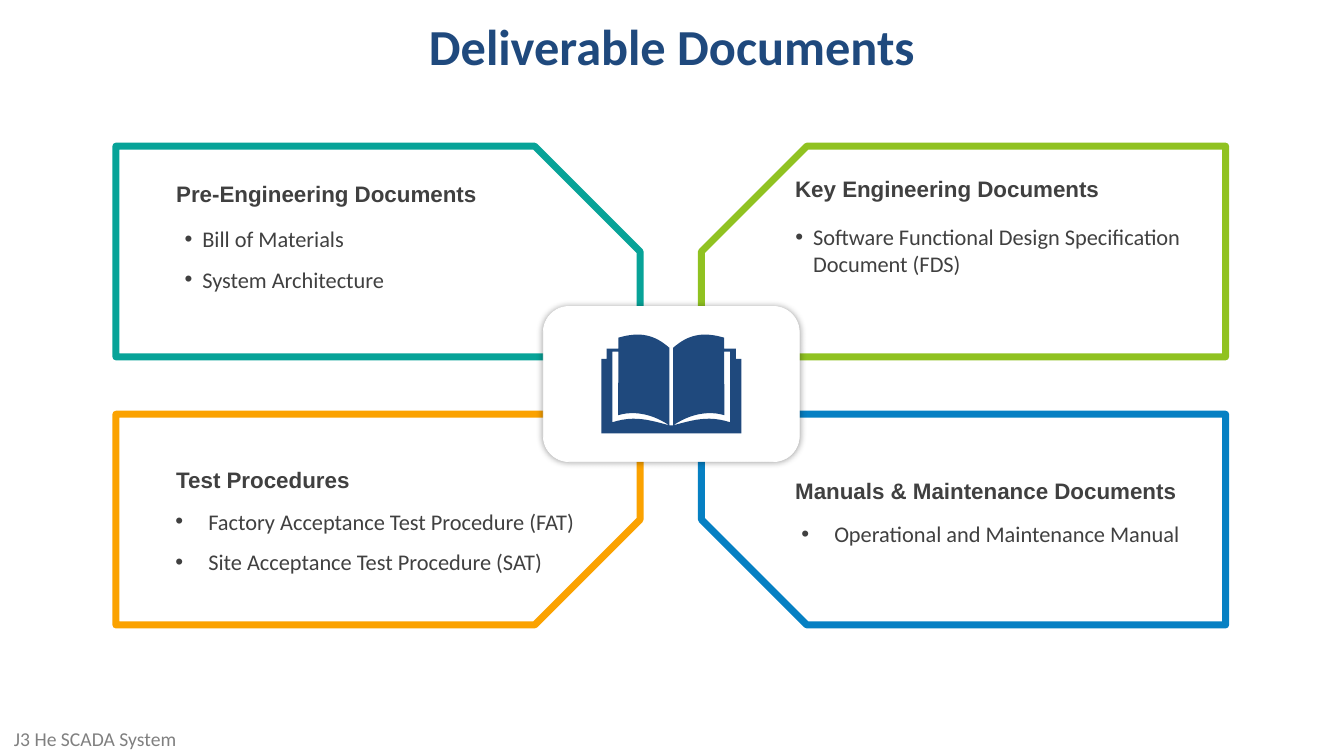
from lxml import etree
from pptx import Presentation
from pptx.dml.color import RGBColor
from pptx.enum.shapes import MSO_SHAPE
from pptx.enum.text import MSO_ANCHOR, MSO_AUTO_SIZE, PP_ALIGN
from pptx.oxml.ns import qn
from pptx.util import Pt

SNIP, ROUND = MSO_SHAPE.SNIP_1_RECTANGLE, MSO_SHAPE.ROUNDED_RECTANGLE
MIDDLE, CENTER, NO_FIT = MSO_ANCHOR.MIDDLE, PP_ALIGN.CENTER, MSO_AUTO_SIZE.NONE
WHITE, NAVY, DARK, GREY = "FFFFFF", "1F497D", "404040", "808080"


def rgb(value):
    return RGBColor.from_string(value)


def add_text(sp, box, text, font, size, color, bold=False, new=False):
    """Place a text shape and write one paragraph in it."""
    sp.left, sp.top, sp.width, sp.height = [Pt(v) for v in box]
    tf = sp.text_frame
    tf.word_wrap = True
    tf.auto_size = NO_FIT
    tf.vertical_anchor = MIDDLE
    p = tf.add_paragraph() if new else tf.paragraphs[0]
    p.space_before = Pt(0)
    r = p.add_run()
    r.text = text
    r.font.name, r.font.size, r.font.bold = font, Pt(size), bold
    r.font.color.rgb = rgb(color)
    return p


prs = Presentation()
prs.slide_width, prs.slide_height = Pt(960), Pt(540)
s = prs.slides.add_slide(prs.slide_layouts[4])  # title and four bodies

# Title
sp = s.shapes.title
sp.fill.solid()
sp.fill.fore_color.rgb = rgb(WHITE)
p = add_text(sp, (0, 0, 960, 65), "Deliverable Documents", "Calibri", 36, NAVY, True)
p.alignment = CENTER

# Four panels, each with its snipped corner towards the centre
for i, color in enumerate(("07A398", "90C221", "FBA200", "0680C3")):
    row, col = divmod(i, 2)
    sp = s.shapes.add_shape(SNIP, Pt(82.8 + 418.3 * col), Pt(104.4 + 191.5 * row),
                            Pt(374.4), Pt(150.5))
    sp.adjustments[0] = 0.5
    xfrm = sp._element.spPr.find(qn("a:xfrm"))
    xfrm.set("flipH", str(col))
    xfrm.set("flipV", str(row))
    sp.shadow.inherit = False
    sp.fill.solid()
    sp.fill.fore_color.rgb = rgb(WHITE)
    sp.line.color.rgb = rgb(color)
    sp.line.width = Pt(5)

# Central hub with a soft shadow
hub = s.shapes.add_shape(ROUND, Pt(388.1), Pt(218.9), Pt(182.9), Pt(110.9))
hub.fill.solid()
hub.fill.fore_color.rgb = rgb(WHITE)
hub.line.color.rgb = rgb(WHITE)
hub.line.width = Pt(0.5)
hub.shadow.inherit = False
effects = hub._element.spPr.find(qn("a:effectLst"))
shadow = etree.SubElement(effects, qn("a:outerShdw"), blurRad=str(Pt(5)), dist="0",
                          algn="ctr", rotWithShape="0")
black = etree.SubElement(shadow, qn("a:srgbClr"), val="000000")
etree.SubElement(black, qn("a:alpha"), val="40000")

# Open book: half outlines as offsets from the spine top, four-point items are curves
SPINE, BOOK_TOP = 479.5, 239
cover = [[(1.4, 64.8)], [(1.4, 9.4)],
         [(1.4, 9.4), (8, 3.6), (15, 0), (24, 0)],
         [(24, 0), (28, 0), (32.5, 0.7), (37.7, 2.2)],
         [(37.7, 10)], [(46.2, 10)], [(46.2, 17.3)], [(50, 17.3)], [(50, 70.6)]]
gap = [[(1.4, 64.8), (16, 61), (26, 57.6), (42, 62.6)],
       [(42, 12.2)], [(37.7, 12.2)],
       [(38, 57.6), (26, 54), (13, 57), (1.4, 64.8)]]
halves = []
for pieces in (cover, gap):
    points = []
    for piece in pieces:
        if len(piece) == 1:
            points += piece
            continue
        for step in range(13):
            t = step / 12
            weights = ((1 - t) ** 3, 3 * t * (1 - t) ** 2, 3 * t * t * (1 - t), t ** 3)
            points.append(tuple(sum(w * pt[axis] for w, pt in zip(weights, piece))
                                for axis in (0, 1)))
    halves.append(points)
cover, gap = halves
left_gap = [(-x, y) for x, y in gap]
outline = [(-x, y) for x, y in cover] + cover[::-1]
builder = None
for contour in (outline, left_gap, gap):
    points = [(Pt(SPINE + x), Pt(BOOK_TOP + y)) for x, y in contour]
    if builder is None:
        builder = s.shapes.build_freeform(*points[0], scale=1.0)
    else:
        builder.move_to(*points[0])
    builder.add_line_segments(points[1:], close=True)
book = builder.convert_to_shape()
book.shadow.inherit = False
book.fill.solid()
book.fill.fore_color.rgb = rgb(NAVY)
book.line.fill.background()

# Headings and bulleted lists: heading, its box, items, their box, indent, line spacing
sections = [
    ("Pre-Engineering Documents", (118.8, 125.3, 260, 26.6),
     ["Bill of Materials", "System Architecture"], (124.6, 149, 311.8, 62.6), 12.7, 1.5),
    ("Key Engineering Documents", (560.9, 121.7, 260, 26.6),
     ["Software Functional Design Specification Document (FDS)"],
     (560.9, 155.5, 311.8, 46.1), 12.7, 1),
    ("Test Procedures", (118.8, 329, 260, 26.6),
     ["Factory Acceptance Test Procedure (FAT)", "Site Acceptance Test Procedure (SAT)"],
     (118.1, 350.6, 311.8, 62.6), 23.5, 1.5),
    ("Manuals & Maintenance Documents", (560.9, 337, 298, 26.6),
     ["Operational and Maintenance Manual"], (565.2, 367.9, 311.8, 26.6), 23.5, 1),
]
for idx, (heading, head_box, items, list_box, indent, spacing) in enumerate(sections, 1):
    sp = s.shapes.add_textbox(0, 0, 0, 0)
    add_text(sp, head_box, heading, "Arial", 16, DARK, True)
    body = s.placeholders[idx]
    s.shapes._spTree.append(body._element)  # bring the list in front of its panel
    for n, item in enumerate(items):
        p = add_text(body, list_box, item, "Calibri", 16, DARK, new=n > 0)
        p.line_spacing = spacing
        pPr = p._p.get_or_add_pPr()
        pPr.set("marL", str(Pt(indent)))
        pPr.set("indent", str(-Pt(indent)))
        etree.SubElement(pPr, qn("a:buFont"), typeface="Arial")
        etree.SubElement(pPr, qn("a:buChar"), char="•")

# Footer
sp = s.shapes.add_textbox(0, 0, 0, 0)
add_text(sp, (2.9, 515.5, 290.9, 24.5), "J3 He SCADA System", "Calibri", 14, GREY)

prs.save("out.pptx")
